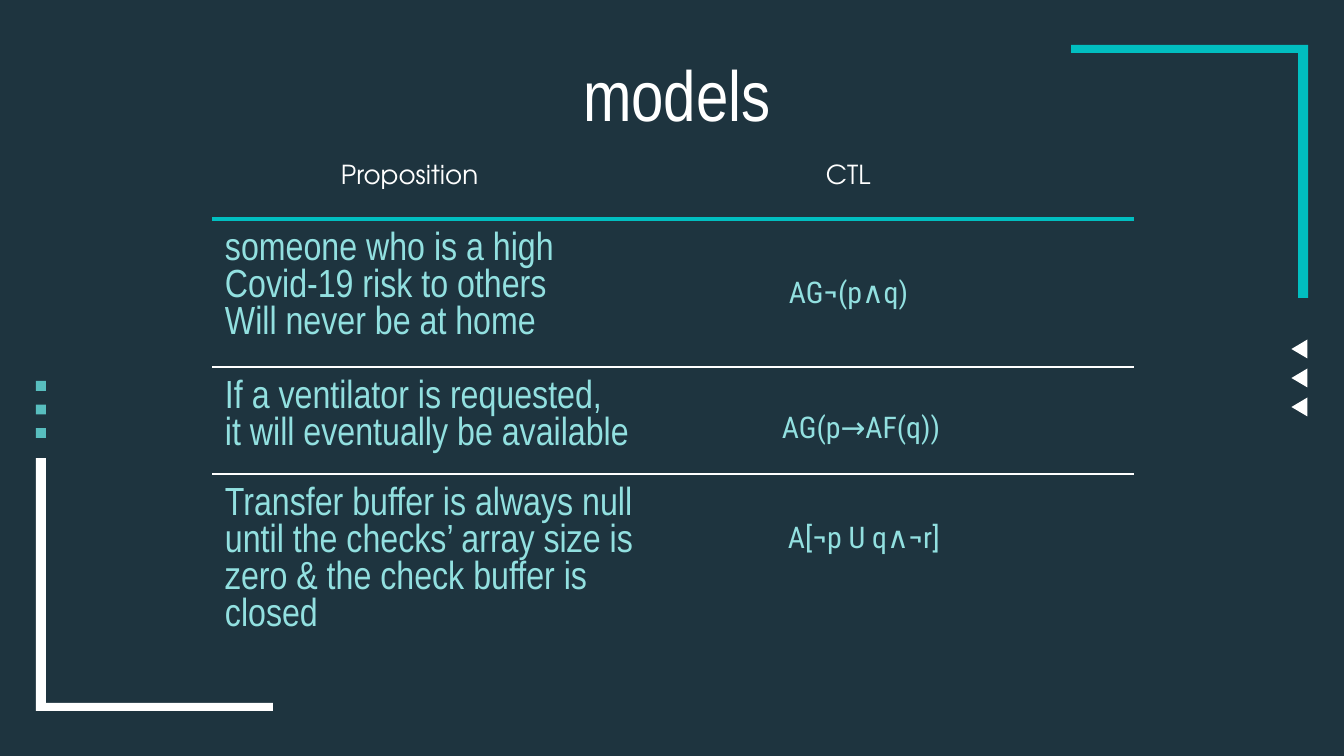
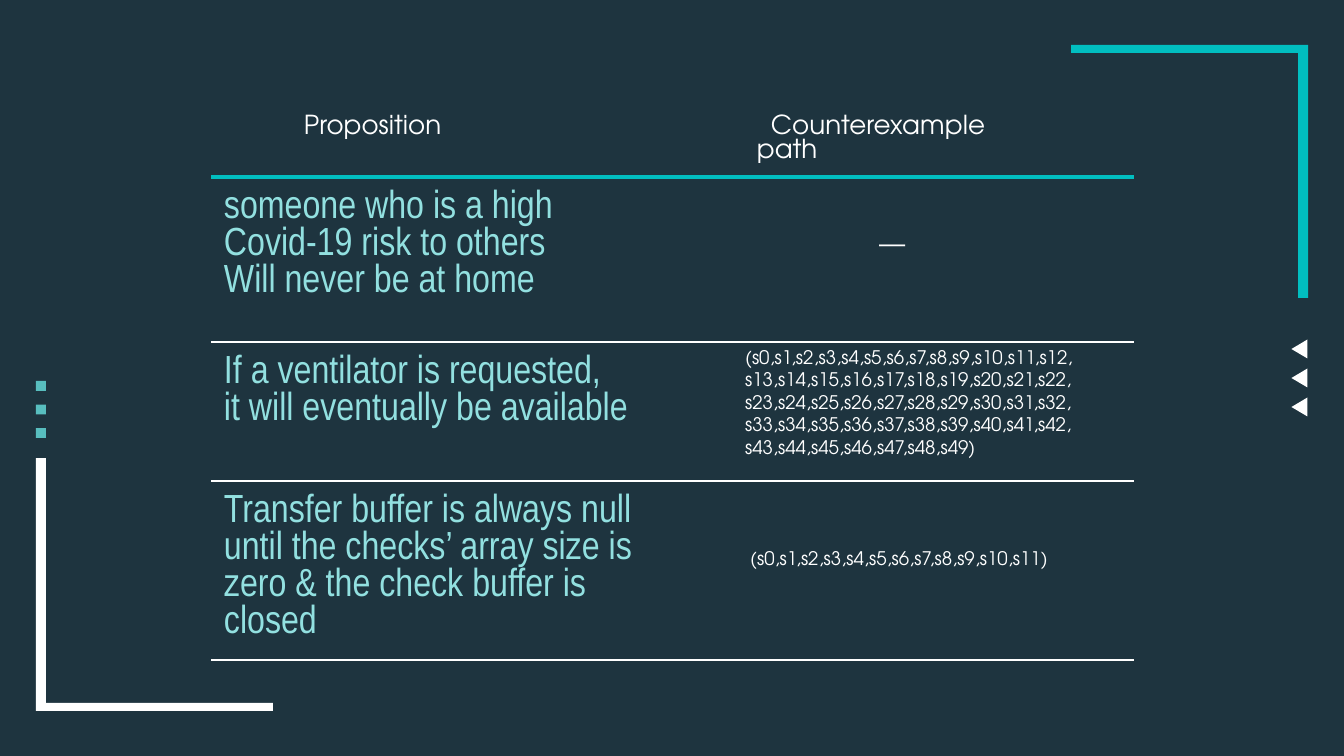
from lxml import etree
from pptx import Presentation
from pptx import util as u
from pptx.dml.color import RGBColor
from pptx.enum import shapes, text
from pptx.oxml.ns import qn

# Shared look
WIDTH, HEIGHT = 1344, 756
SCALE = 914400 / 134.4
NAVY, TEAL, AQUA, MINT, WHITE = "1E343F", "01BEC0", "58BEBF", "92E0E0", "FFFFFF"
INSET = 13
# style: font, size, colour, exact line height in points (None is natural)
HEADER = ("TeX Gyre Adventor", 14, WHITE, 13)
BODY = ("Arial Narrow", 21, MINT, 19.8)
FORMULA = ("Roboto Condensed", 16, MINT, None)
TRACE = ("TeX Gyre Adventor", 10, WHITE, None)
DASH = ("Arial", 14, WHITE, None)
TITLE = ("Arial Narrow", 38, WHITE, None)

# Content
PROPOSITIONS = [
    "someone who is a high\nCovid-19 risk to others\nWill never be at home",
    "If a ventilator is requested,\nit will eventually be available",
    "Transfer buffer is always null until the checks’ array size is "
    "zero & the check buffer is closed",
]
# formula, first-line indent, top margin (None centres it in its row)
FORMULAS = [("AG¬(p∧q)", 7, None), ("AG(p→AF(q))", 0, 44), ("A[¬p U q∧¬r]", 6, 47)]
MODELS = dict(
    at=(212, 152), columns=[484, 73, 223, 31, 111], rows=[56, 148, 107, 120, 84],
    headers=[("Proposition", 116), ("CTL", 44)], rules=3,
    merges=[(3, 0, 4, 0), (3, 3, 4, 3), (3, 4, 4, 4), (4, 1, 4, 2)],
)
COUNTEREXAMPLES = dict(
    at=(211, 102), columns=[485, 48, 307, 31, 52], rows=[75, 165, 139, 179],
    headers=[("Proposition", 80), ("Counterexample path", 14)], rules=4,
    merges=[(3, 1, 3, 2)],
)


def states(first, last):
    return ",".join(f"s{number}" for number in range(first, last + 1))


LONG_TRACE = "(" + ",\n".join(
    states(first, last)
    for first, last in [(0, 12), (13, 22), (23, 32), (33, 42), (43, 49)]) + ")"
# words, style, box, wrap
TRACES = [
    (f"({states(0, 11)})", TRACE, (737, 540, 351, 36), False),
    ("—", DASH, (866, 220, 54, 46), False),
    (LONG_TRACE, TRACE, (732, 339, 392, 126), True),
]


def px(*lengths):
    return [u.Emu(round(length * SCALE)) for length in lengths]


def rgb(value):
    return RGBColor.from_string(value)


def write(frame, words, style, indent=0):
    font, size, colour, leading = style
    frame.text = words
    for para in frame.paragraphs:
        if leading:
            para.line_spacing = u.Pt(leading)
        if indent:
            para._p.get_or_add_pPr().set("indent", str(px(indent)[0]))
        for span in para.runs:
            span.font.name, span.font.size = font, u.Pt(size)
            span.font.color.rgb = rgb(colour)


def paint(shape, colour):
    shape.shadow.inherit = False
    shape.fill.solid()
    shape.fill.fore_color.rgb = rgb(colour)
    shape.line.fill.background()


def decorate(page):
    # Three triangles on the right, three squares on the left
    for step in range(3):
        arrow = page.shapes.add_shape(
            shapes.MSO_SHAPE.ISOSCELES_TRIANGLE, *px(1290, 341 + 29 * step, 19, 16))
        arrow.rotation = 270
        paint(arrow, WHITE)
        square = page.shapes.add_shape(
            shapes.MSO_SHAPE.RECTANGLE, *px(36, 381 + 23.5 * step, 10, 10))
        paint(square, AQUA)
    # Corner bracket, and the same one turned half round
    corner = [(36, 458), (36, 711), (273, 711), (273, 703), (46, 703), (46, 458)]
    turned = [(WIDTH - x, HEIGHT - y) for x, y in corner]
    for points, colour in [(turned, TEAL), (corner, WHITE)]:
        builder = page.shapes.build_freeform(*points[0], scale=SCALE)
        builder.add_line_segments(points[1:], close=True)
        paint(builder.convert_to_shape(), colour)


def set_borders(cell, top, bottom):
    properties = cell._tc.get_or_add_tcPr()
    sides = [("lnL", None), ("lnR", None), ("lnT", top), ("lnB", bottom)]
    for place, (side, rule) in enumerate(sides):
        line = etree.Element(qn(f"a:{side}"))
        if rule:
            colour, weight = rule
            line.set("w", str(u.Pt(weight)))
            fill = etree.SubElement(line, qn("a:solidFill"))
            etree.SubElement(fill, qn("a:srgbClr")).set("val", colour)
        else:
            etree.SubElement(line, qn("a:noFill"))
        properties.insert(place, line)


def add_grid(page, plan):
    columns, rows = plan["columns"], plan["rows"]
    grid = page.shapes.add_table(
        len(rows), len(columns), *px(*plan["at"], sum(columns), sum(rows))).table
    grid.first_row = grid.horz_banding = False
    for column, width in zip(grid.columns, px(*columns)):
        column.width = width
    for row, height in zip(grid.rows, px(*rows)):
        row.height = height
    # Rule below each row: teal under the header, white under the others
    rules = [None, (TEAL, 3)] + [(WHITE, 1.5)] * (plan["rules"] - 1)
    rules += [None] * (len(rows) + 1 - len(rules))
    for r in range(len(rows)):
        for c in range(len(columns)):
            cell = grid.cell(r, c)
            cell.fill.background()
            set_borders(cell, rules[r], rules[r + 1])
            cell.margin_left = cell.margin_right = px(INSET)[0]
            cell.margin_top = cell.margin_bottom = px(INSET)[0]
            cell.text_frame.paragraphs[0].line_spacing = u.Pt(HEADER[3])
    for top, left, bottom, right in plan["merges"]:
        grid.cell(top, left).merge(grid.cell(bottom, right))
    for c, (words, indent) in zip((0, 2), plan["headers"]):
        write(grid.cell(0, c).text_frame, words, HEADER, indent)
    for r, words in enumerate(PROPOSITIONS, 1):
        write(grid.cell(r, 0).text_frame, words, BODY)
    return grid


deck = Presentation()
deck.slide_width, deck.slide_height = px(WIDTH, HEIGHT)
background = deck.slide_master.background.fill
background.solid()
background.fore_color.rgb = rgb(NAVY)

# Slide 1: propositions and their formulas
page = deck.slides.add_slide(deck.slide_layouts[5])
decorate(page)
title = page.shapes.title
title.left, title.top, title.width, title.height = px(110, 38, 1134, 91)
frame = title.text_frame
frame.auto_size = text.MSO_AUTO_SIZE.NONE
frame.vertical_anchor = text.MSO_ANCHOR.TOP
frame.margin_top = frame.margin_bottom = px(INSET)[0]
write(frame, "models", TITLE)
frame.paragraphs[0].alignment = text.PP_ALIGN.CENTER
grid = add_grid(page, MODELS)
for r, (words, indent, margin) in enumerate(FORMULAS, 1):
    cell = grid.cell(r, 2)
    write(cell.text_frame, words, FORMULA, indent)
    cell.text_frame.paragraphs[0].line_spacing = 1.0
    if margin is None:
        cell.vertical_anchor = text.MSO_ANCHOR.MIDDLE
    else:
        cell.margin_top = px(margin)[0]

# Slide 2: propositions and their counterexamples
page = deck.slides.add_slide(deck.slide_layouts[6])
decorate(page)
add_grid(page, COUNTEREXAMPLES)
for words, style, place, wrap in TRACES:
    box = page.shapes.add_textbox(*px(*place))
    box.text_frame.word_wrap = wrap
    box.text_frame.auto_size = text.MSO_AUTO_SIZE.SHAPE_TO_FIT_TEXT
    write(box.text_frame, words, style)

deck.save("out.pptx")
